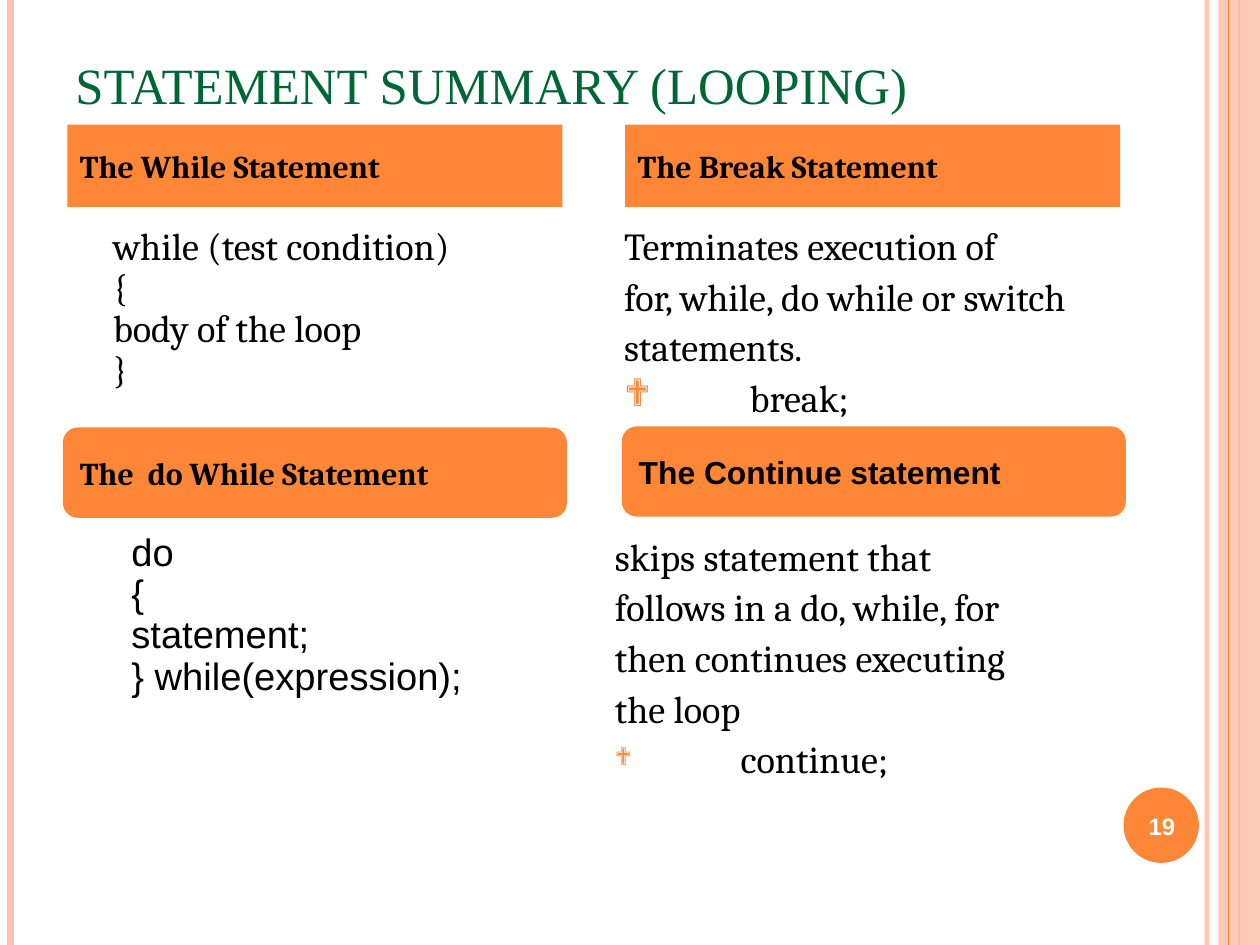
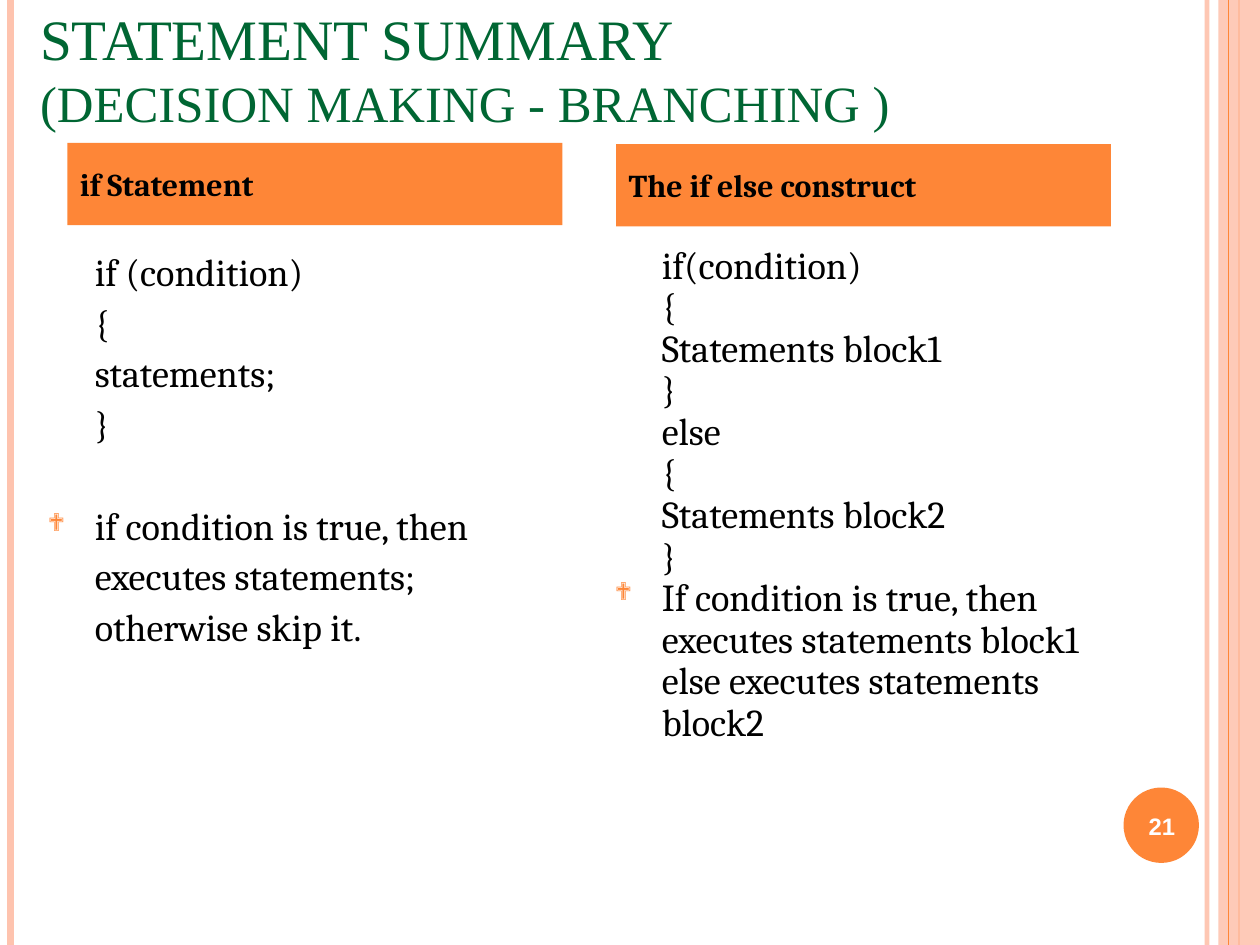
import dataclasses

import lxml.etree
import pptx
import pptx.dml.color
import pptx.enum.shapes
import pptx.enum.text
import pptx.oxml.ns
import pptx.util

Inches = pptx.util.Inches
Pt = pptx.util.Pt
qn = pptx.oxml.ns.qn
SHAPE = pptx.enum.shapes.MSO_SHAPE
ANCHOR = pptx.enum.text.MSO_ANCHOR
ALIGN = pptx.enum.text.PP_ALIGN

CM_PER_INCH = 2.54
WIDTH, HEIGHT = 28 / CM_PER_INCH, 21 / CM_PER_INCH
COLORS = {
    "accent": "FE8637",
    "pale": "FEC3AE",
    "title": "006633",
    "text": "000000",
    "badge": "FFFFFF",
}
SERIF, SANS, TITLE_FONT = "Cambria", "Arial", "Times New Roman"
HANG = 0.41
TAB = 1.1
BULLET_SHARE = 65


@dataclasses.dataclass
class Line:
    """One body paragraph with its indent, gap above and optional bullet size."""

    text: str
    margin: float = 0
    gap: float = 6
    bullet: int = 0


@dataclasses.dataclass
class Panel:
    """One statement: a heading band and the body text below it."""

    heading: str
    band: tuple
    body: tuple
    lines: list
    shape: int = SHAPE.RECTANGLE
    heading_font: str = SERIF
    body_font: str = SERIF
    spacing: float = 0.9


def indented(*texts):
    """Return indented paragraphs."""
    return [Line(text, HANG) for text in texts]


def rgb(name):
    """Look up a named colour."""
    return pptx.dml.color.RGBColor.from_string(COLORS[name])


def place(box):
    """Convert a box in inches to lengths."""
    return [Inches(value) for value in box]


def add_run(paragraph, text, size, font, color, bold=False):
    """Add formatted text, with a line break at each newline."""
    for index, row in enumerate(text.split("\n")):
        if index:
            paragraph.add_line_break()
        run = paragraph.add_run()
        run.text = row
        run.font.size = Pt(size)
        run.font.name = font
        run.font.bold = bold
        run.font.color.rgb = rgb(color)


def set_frame(frame, anchor):
    """Give a text frame the common insets, wrapping and anchor."""
    frame.word_wrap = True
    frame.auto_size = pptx.enum.text.MSO_AUTO_SIZE.NONE
    frame.vertical_anchor = anchor
    frame.margin_left = frame.margin_right = Inches(0.11)
    frame.margin_top = frame.margin_bottom = Inches(0.06)


def set_opacity(element, percent):
    """Make the first colour in an element partly transparent."""
    color = next(element.iter(qn("a:srgbClr")))
    lxml.etree.SubElement(color, qn("a:alpha")).set("val", str(percent * 1000))


def add_filled(slide, kind, box, color):
    """Add a flat shape without outline."""
    shape = slide.shapes.add_shape(kind, *place(box))
    shape.shadow.inherit = False
    shape.fill.solid()
    shape.fill.fore_color.rgb = rgb(color)
    shape.line.fill.background()
    return shape


def add_stripe(slide, x, color, width):
    """Add a full-height vertical line."""
    stripe = slide.shapes.add_connector(
        pptx.enum.shapes.MSO_CONNECTOR.STRAIGHT,
        Inches(x), 0, Inches(x), Inches(HEIGHT))
    stripe.line.color.rgb = rgb(color)
    stripe.line.width = Pt(width)
    properties = stripe.element.find(qn("p:spPr"))
    lxml.etree.SubElement(properties, qn("a:effectLst"))
    return stripe


def decorate_layout(layout, slide):
    """Build the side bands and badge disc and hand them to the layout."""
    inner = add_stripe(slide, 10.56, "pale", 3)
    set_opacity(inner.element, 93)
    left = add_stripe(slide, 0.09, "pale", 4.5)
    outer = add_stripe(slide, 10.84, "accent", 1.5)
    band = add_filled(slide, SHAPE.RECTANGLE, (10.66, 0, 0.37, HEIGHT), "pale")
    set_opacity(band.element, 87)
    thin = add_stripe(slide, 10.75, "accent", 0.75)
    disc = add_filled(slide, SHAPE.OVAL, (9.83, 6.89, 0.66, 0.66), "accent")
    for part in (inner, left, outer, band, thin, disc):
        layout.shapes.element.append(part.element)


def add_title(slide, box, rows):
    """Place the title and write its rows of text and size."""
    title = slide.shapes.title
    title.left, title.top, title.width, title.height = place(box)
    set_frame(title.text_frame, ANCHOR.BOTTOM)
    paragraph = title.text_frame.paragraphs[0]
    paragraph.alignment = ALIGN.LEFT
    for index, (text, size) in enumerate(rows):
        if index:
            paragraph.add_line_break()
        add_run(paragraph, text, size, TITLE_FONT, "title")


def add_page_number(slide, number):
    """Write the page number over the badge disc."""
    badge = slide.shapes.add_textbox(*place((9.8, 6.91, 0.73, 0.63)))
    set_frame(badge.text_frame, ANCHOR.MIDDLE)
    paragraph = badge.text_frame.paragraphs[0]
    paragraph.alignment = ALIGN.CENTER
    add_run(paragraph, str(number), 15, SANS, "badge", bold=True)


def format_line(paragraph, line):
    """Set the indent and bullet of a body paragraph."""
    properties = paragraph._p.get_or_add_pPr()
    properties.set("marL", str(Inches(line.margin)))
    properties.set("indent", str(-Inches(line.margin) if line.bullet else 0))
    if line.bullet:
        color = lxml.etree.SubElement(properties, qn("a:buClr"))
        value = lxml.etree.SubElement(color, qn("a:srgbClr"))
        value.set("val", COLORS["accent"])
        size = lxml.etree.SubElement(properties, qn("a:buSzPct"))
        size.set("val", str(line.bullet * 1000))
        font = lxml.etree.SubElement(properties, qn("a:buFont"))
        font.set("typeface", "Wingdings")
        font.set("charset", "2")
        lxml.etree.SubElement(properties, qn("a:buChar")).set("char", "❖")


def add_panel(slide, panel):
    """Draw a heading band and its body text."""
    band = add_filled(slide, panel.shape, panel.band, "accent")
    set_frame(band.text_frame, ANCHOR.MIDDLE)
    heading = band.text_frame.paragraphs[0]
    heading.alignment = ALIGN.LEFT
    add_run(heading, panel.heading, 20, panel.heading_font, "text", bold=True)

    frame = slide.shapes.add_textbox(*place(panel.body)).text_frame
    set_frame(frame, ANCHOR.TOP)
    for index, line in enumerate(panel.lines):
        paragraph = frame.add_paragraph() if index else frame.paragraphs[0]
        format_line(paragraph, line)
        paragraph.line_spacing = panel.spacing
        if index:
            paragraph.space_before = Pt(line.gap)
        add_run(paragraph, line.text, 24, panel.body_font, "text")


def fill_slide(slide, number, title_box, title_rows, panels):
    """Fill a summary slide with title, page number and panels."""
    add_title(slide, title_box, title_rows)
    add_page_number(slide, number)
    for panel in panels:
        add_panel(slide, panel)


LOOPING = [
    Panel("The While Statement", (0.59, 1.09, 4.33, 0.72), (0.47, 1.93, 4.49, 1.73),
          indented("while (test condition)\n{\nbody of the loop\n}")),
    Panel("The Break Statement", (5.47, 1.09, 4.33, 0.72), (5.35, 1.93, 4.73, 1.81),
          [Line("Terminates execution of"),
           Line("for, while, do while or switch"),
           Line("statements."),
           Line("break;", TAB, bullet=100)]),
    Panel("The  do While Statement", (0.55, 3.74, 4.41, 0.79), (0.63, 4.61, 4.41, 2.05),
          indented("do\n{\nstatement;\n} while(expression);"),
          shape=SHAPE.ROUNDED_RECTANGLE, body_font=SANS),
    Panel("The Continue statement", (5.44, 3.73, 4.41, 0.79), (5.27, 4.65, 4.81, 3.19),
          [Line("skips statement that"),
           Line("follows in a do, while, for"),
           Line("then continues executing"),
           Line("the loop"),
           Line("continue;", TAB, bullet=BULLET_SHARE)],
          shape=SHAPE.ROUNDED_RECTANGLE, heading_font=SANS),
]

BRANCHING = [
    Panel("if Statement", (0.59, 1.25, 4.33, 0.72), (0.31, 2.16, 4.65, 4.33),
          indented("if (condition)", "{", "statements;", "}")
          + [Line("if condition is true, then", HANG, 38, BULLET_SHARE)]
          + indented("executes statements;", "otherwise skip it.")),
    Panel("The if else construct", (5.39, 1.26, 4.33, 0.72), (5.27, 2.16, 4.89, 4.68),
          indented("if(condition)", "{", "Statements block1", "}",
                   "else", "{", "Statements block2", "}")
          + [Line("If condition is true, then", HANG, bullet=BULLET_SHARE)]
          + indented("executes statements block1", "else executes statements", "block2"),
          spacing=0.7),
]


def main():
    """Build and save the presentation."""
    deck = pptx.Presentation()
    deck.slide_width, deck.slide_height = Inches(WIDTH), Inches(HEIGHT)
    layout = deck.slide_layouts.get_by_name("Title Only")
    looping = deck.slides.add_slide(layout)
    branching = deck.slides.add_slide(layout)
    decorate_layout(layout, looping)
    fill_slide(looping, 19, (0.55, 0.33, 9.1, 0.73),
               [("STATEMENT SUMMARY (LOOPING)", 32)], LOOPING)
    fill_slide(branching, 21, (0.24, 0.12, 8.9, 1.1),
               [("STATEMENT SUMMARY", 36),
                ("(DECISION MAKING - BRANCHING )", 32)], BRANCHING)
    deck.save("out.pptx")


if __name__ == "__main__":
    main()
